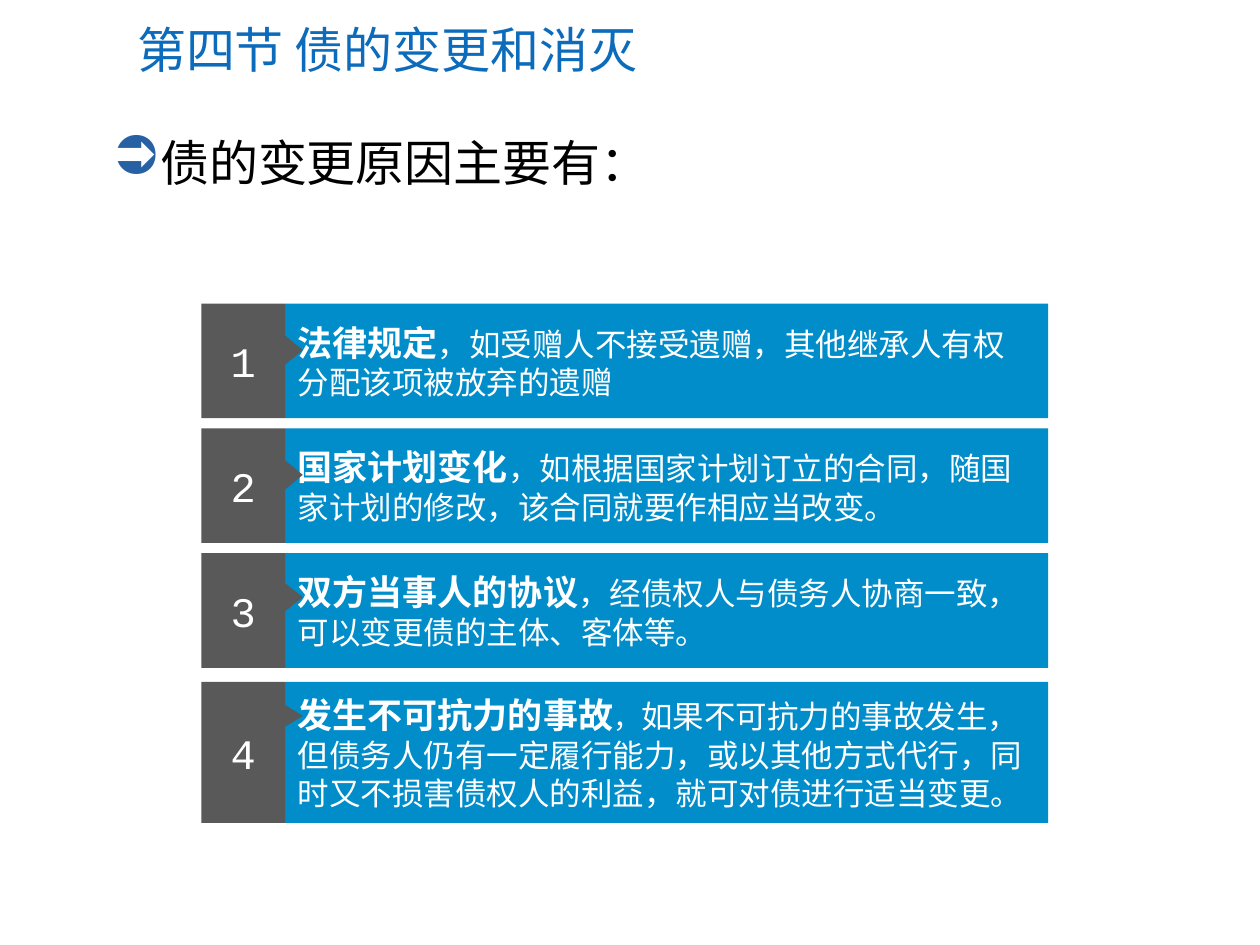
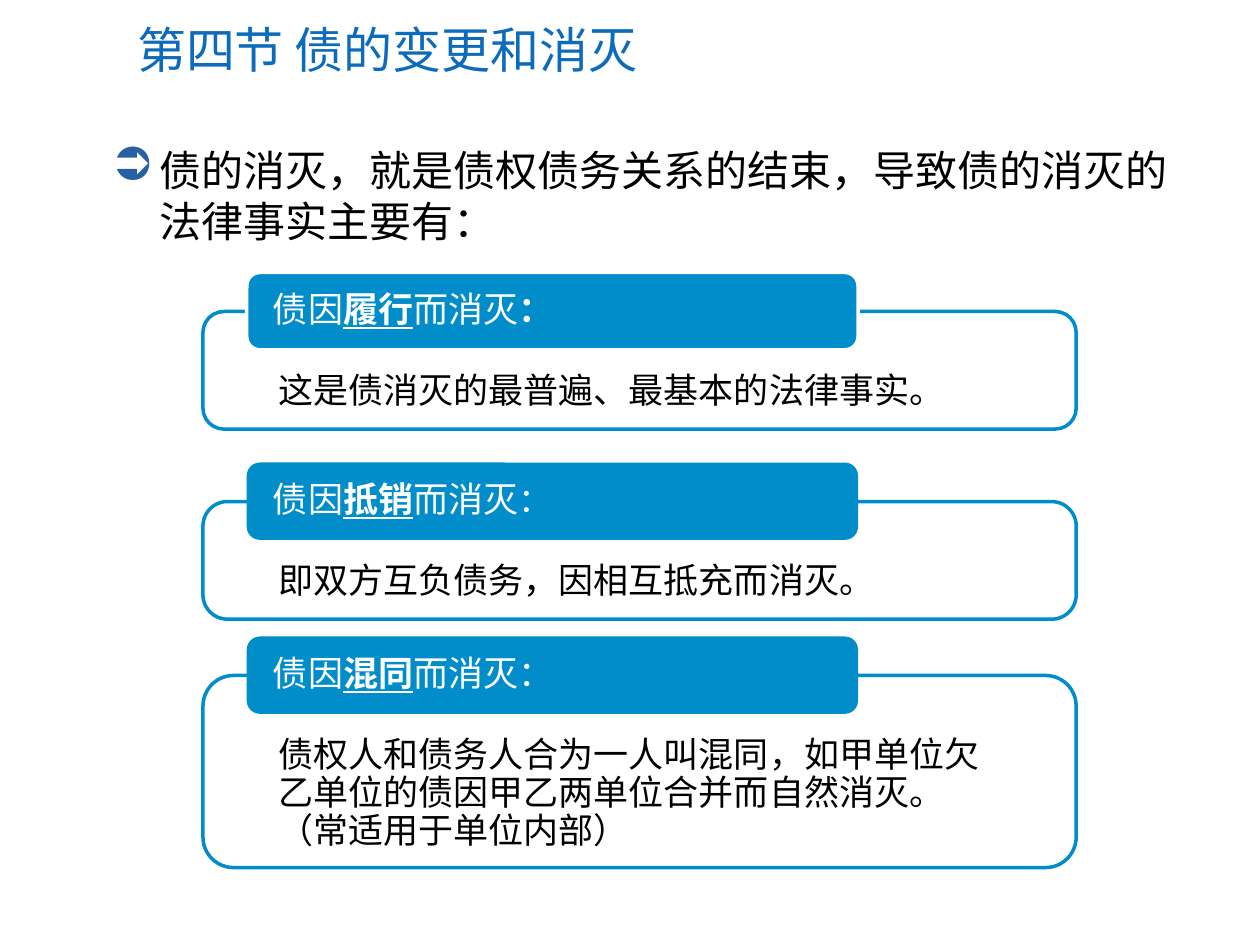
from dataclasses import dataclass
from lxml.etree import SubElement as Sub
from pptx import Presentation
from pptx.dml.color import RGBColor as Rgb
from pptx.enum.shapes import MSO_SHAPE as Kind
from pptx.enum.text import MSO_ANCHOR as Anchor, MSO_AUTO_SIZE as Auto, PP_ALIGN as Align
from pptx.oxml.ns import qn
from pptx.util import Pt


@dataclass(frozen=True)
class Theme:
    blue: str = "008DCA"
    gray: str = "595959"
    white: str = "FFFFFF"
    black: str = "000000"
    head: str = "0C6BBA"
    dot: str = "2860A4"
    sans: str = "Calibri"
    mono: str = "Courier New"
    asian: str = "Noto Sans CJK SC"
    big: float = 28
    lead: float = 24
    text: float = 20
    note: float = 18
    tiny: float = 16


T = Theme()
TITLE = "第四节 债的变更和消灭"

# Each card: top, height, arrow drop, arrow base, runs
CARDS = [
    (173.5, 65.5, 26.6, 16.5, [
        ("法律规定", T.text, "b"),
        ("，如受赠人不接受遗赠，其他继承人有权分配该项被放弃的遗赠", T.note, "")]),
    (244.8, 65.5, 26.6, 16.5, [
        ("国家计划变化", T.text, "b"),
        ("，如根据国家计划订立的合同，随国家计划的修改，该合同就要作相应当改变。", T.note, "")]),
    (316.1, 65.5, 25.2, 16, [
        ("双方当事人的协议", T.text, "b"),
        ("，经债权人与债务人协商一致，可以变更债的主体、客体等。", T.note, "")]),
    (389.7, 80.6, 19.4, 12.3, [
        ("发生不可抗力的事故", T.text, "b"),
        ("，", T.tiny, ""),
        ("如果不可抗力的事故发生，但债务人仍有一定履行能力，或以其他方式代行，"
         "同时又不损害债权人的利益，就可对债进行适当变更。", T.note, "")]),
]

# Each panel: top, height, corner, tag outline, key word, colon (size, marks), body
PANELS = [
    (178, 67.2, 12, T.white, "履行", (T.text, "b"), "这是债消灭的最普遍、最基本的法律事实。"),
    (286.6, 67.2, 14, None, "抵销", (19, ""), "即双方互负债务，因相互抵充而消灭。"),
    (386, 109.8, 17.5, None, "混同", (T.text, ""),
     "债权人和债务人合为一人叫混同，如甲单位欠乙单位的债因甲乙两单位合并而自然消灭。 （常适用于单位内部）"),
]


def put(item, vals):
    for name, val in vals.items():
        setattr(item, name, val)


def write(shape, runs, color, font=T.sans, pad=(7.2, 3.6, 7.2, 3.6), mid=True, **para):
    """Fill a shape with one paragraph of (text, size, marks) runs."""
    frame = shape.text_frame
    sides = ("margin_left", "margin_top", "margin_right", "margin_bottom")
    put(frame, {"word_wrap": True, "vertical_anchor": Anchor.MIDDLE if mid else Anchor.TOP,
                **{side: Pt(gap) for side, gap in zip(sides, pad)}})
    line = frame.paragraphs[0]
    put(line, {"alignment": Align.LEFT, **para})
    for text, size, marks in runs:
        run = line.add_run()
        run.text = text
        put(run.font, {"name": font, "size": Pt(size),
                       "bold": "b" in marks, "underline": "u" in marks})
        run.font.color.rgb = Rgb.from_string(color)
        Sub(run.font._element, qn("a:ea"), typeface=T.asian)
    return line


def draw(home, kind, box, fill, edge=None):
    shape = home.shapes.add_shape(kind, *map(Pt, box))
    shape.shadow.inherit = False
    shape.fill.solid()
    shape.fill.fore_color.rgb = Rgb.from_string(fill)
    if edge:
        shape.line.color.rgb = Rgb.from_string(edge)
        shape.line.width = Pt(2)
    else:
        shape.line.fill.background()
    return shape


def title(slide, box):
    write(slide.shapes.add_textbox(*map(Pt, box)), [(TITLE, T.big, "")], T.head)


def lead(slide, box, text, size, font, gap):
    """Opening line with an arrow bullet and a hanging indent."""
    shape = slide.shapes.add_textbox(*map(Pt, box))
    line = write(shape, [(text, size, "")], T.black, font, mid=False, space_before=Pt(gap))
    shape.text_frame.auto_size = Auto.SHAPE_TO_FIT_TEXT
    props = line._p.get_or_add_pPr()
    props.set("marL", str(Pt(27)))
    props.set("indent", str(-Pt(27)))
    Sub(Sub(props, qn("a:buClr")), qn("a:srgbClr"), val=T.dot)
    Sub(props, qn("a:buSzPct"), val="110000")
    Sub(props, qn("a:buChar"), char="➲")


def card(slide, box, num, drop, base, runs):
    """Numbered tab at the left, text at the right, arrow between."""
    left, top, wide, high = box
    tab, tip = 48, 10
    edge = left + tab
    group = slide.shapes.add_group_shape()
    body = draw(group, Kind.RECTANGLE, (edge, top, wide - tab, high), T.blue)
    write(body, runs, T.white, space_before=Pt(4.5))
    side = draw(group, Kind.RECTANGLE, (left, top, tab, high), T.gray)
    write(side, [(str(num), T.lead, "")], T.white, T.mono,
          alignment=Align.CENTER, space_before=Pt(6))
    # The turned arrow keeps its centre, so its box is set around it
    spot = (edge + tip / 2 - base / 2, top + drop - tip / 2, base, tip)
    draw(group, Kind.ISOSCELES_TRIANGLE, spot, T.gray).rotation = 90


def bubble(home, box, curve, fill, edge, pad):
    """Rounded box, and the padding left once its corners are counted."""
    shape = draw(home, Kind.ROUNDED_RECTANGLE, box, fill, edge)
    shape.adjustments[0] = curve / min(box[2:])
    return shape, [max(0, gap - 0.29 * curve) for gap in pad]


def panel(slide, box, curve, edge, key, colon, text):
    """Outlined box with a blue tag across its top edge."""
    left, top, wide, high = box
    group = slide.shapes.add_group_shape()
    frame, pad = bubble(group, box, curve, T.white, T.blue, (43, 35.5, 43, 15))
    tint = frame.fill._xPr.find(".//" + qn("a:srgbClr"))
    Sub(tint, qn("a:alpha"), val="90000")
    write(frame, [(text, T.text, "")], T.black, pad=pad, mid=False,
          line_spacing=0.9, space_after=Pt(3.7))
    spot = (left + 25, top - 22.3, 0.7 * wide, 44.2)
    tag, pad = bubble(group, spot, 7.5, T.blue, edge, (15, 2, 15, 2))
    runs = [("债因", T.text, ""), (key, T.text, "bu"), ("而消灭", T.text, ""), ("：", *colon)]
    write(tag, runs, T.white, pad=pad, line_spacing=0.9, space_after=Pt(8.8))


def start(deck):
    slide = deck.slides.add_slide(deck.slide_layouts[6])
    title(slide, (71.3, 7.2, 627.8, 41.8))
    return slide


def change(deck):
    slide = start(deck)
    for num, (top, high, *rest) in enumerate(CARDS, 1):
        card(slide, (115, top, 484, high), num, *rest)
    lead(slide, (57, 72, 600.5, 41), "债的变更原因主要有：", T.big, T.asian, 7)


def finish(deck):
    slide = start(deck)
    lead(slide, (57, 79.2, 623.5, 64.8),
         "债的消灭，就是债权债务关系的结束，导致债的消灭的法律事实主要有：",
         T.lead, T.sans, 6)
    for top, high, *rest in PANELS:
        panel(slide, (116, top, 499, high), *rest)


def main():
    deck = Presentation()
    put(deck, {"slide_width": Pt(720), "slide_height": Pt(540)})
    change(deck)
    finish(deck)
    deck.save("out.pptx")


if __name__ == "__main__":
    main()
